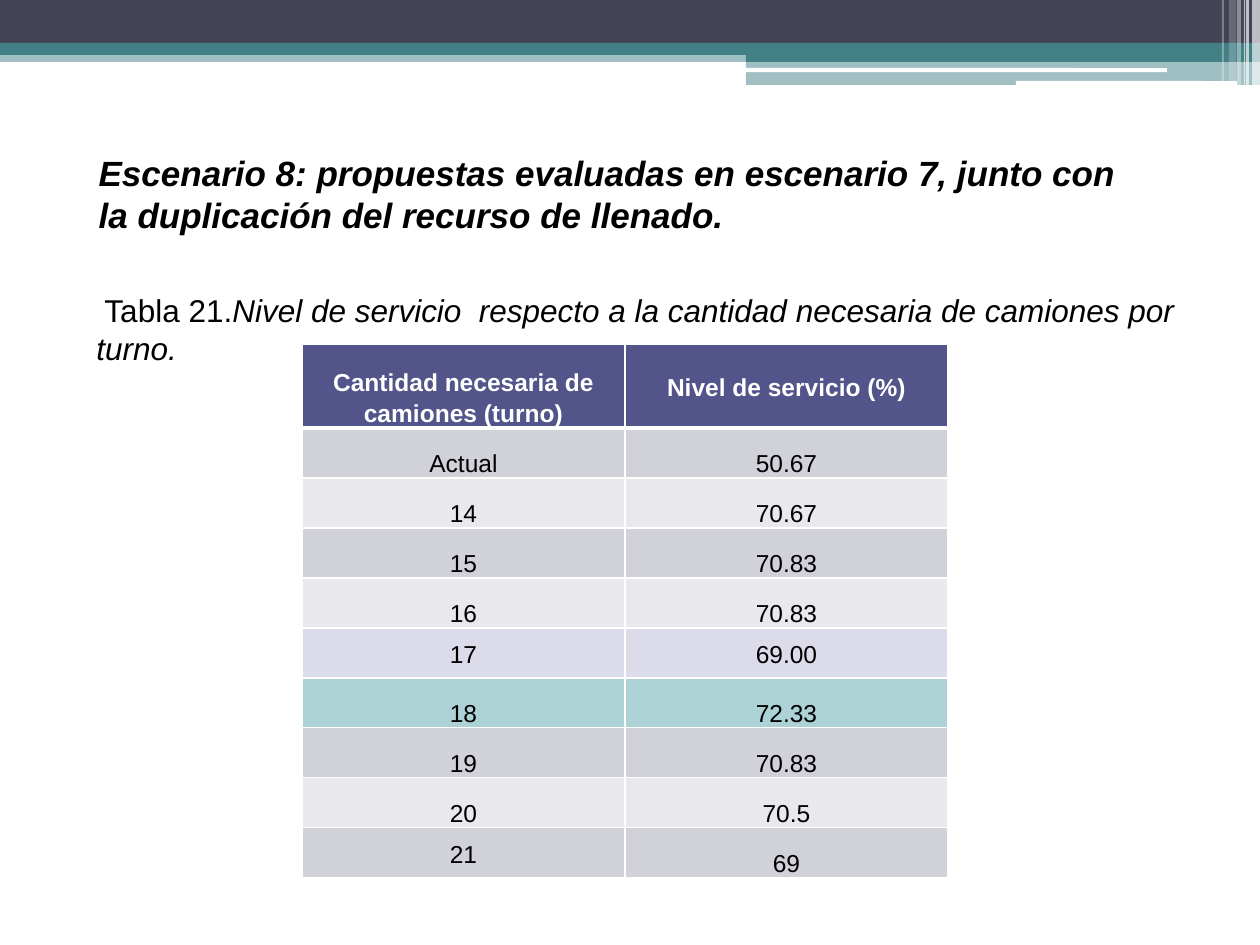
from lxml.etree import SubElement
from pptx import Presentation
from pptx.dml.color import RGBColor
from pptx.enum.shapes import MSO_SHAPE as Shape
from pptx.enum.text import MSO_ANCHOR as Anchor, MSO_AUTO_SIZE as AutoSize, PP_ALIGN as Align
from pptx.oxml import parse_xml
from pptx.oxml.ns import nsdecls, qn
from pptx.util import Emu, Pt

COLORS = {
    "black": "000000", "white": "FFFFFF", "slate": "424456", "teal": "438086",
    "header": "53548A", "dark": "D1D1DA", "light": "E9E9ED",
    "lilac": "DBDBE9", "best": "ADD2D6",
}
FONT = "Arial"
TITLE = ("Escenario 8: propuestas evaluadas en escenario 7, junto con "
         "la duplicación del recurso de llenado.")
CAPTION = (" Tabla 21.",
           "Nivel de servicio  respecto a la cantidad necesaria de camiones por turno.")
HEADINGS = ("Cantidad necesaria de camiones (turno)", "Nivel de servicio (%)")
LEVELS = (
    ("Actual", "50.67", "dark"), ("14", "70.67", "light"), ("15", "70.83", "dark"),
    ("16", "70.83", "light"), ("17", "69.00", "lilac"), ("18", "72.33", "best"),
    ("19", "70.83", "dark"), ("20", "70.5", "light"), ("21", "69", "dark"),
)
MIDDLE_CELLS = {(0, 1), (5, 0), (5, 1), (9, 0)}


def px(length):
    """Turn pixels into EMU."""
    return Emu(round(length * 914400 / 126))


def color(name):
    """Return a named colour."""
    return RGBColor.from_string(COLORS[name])


def style_font(font, size, name="black", bold=False, italic=False):
    """Set the typeface, size, colour and weight of a font."""
    font.name, font.size, font.bold, font.italic = FONT, Pt(size), bold, italic
    font.color.rgb = color(name)


def add_bar(page, box, name, opacity=100, kind=Shape.RECTANGLE):
    """Add a borderless bar, see-through if asked."""
    bar = page.shapes.add_shape(kind, *map(px, box))
    bar.shadow.inherit = False
    bar.fill.solid()
    bar.fill.fore_color.rgb = color(name)
    bar.line.fill.background()
    if opacity < 100:
        tint = bar._element.spPr.find(f".//{qn('a:srgbClr')}")
        SubElement(tint, qn("a:alpha"), val=str(opacity * 1000))


def add_banner(page, box):
    """Draw the layered banner with its rules and right-hand stripes."""
    left, top, width, height = box
    tab = left + 746
    tab_width = width - 746
    add_bar(page, (left, top + 50, width, 12), "teal", 50)
    add_bar(page, (left, top, width, 43), "slate")
    add_bar(page, (left, top + 43, width, 12), "teal")
    add_bar(page, (tab, top + 49, tab_width, 13), "teal")
    add_bar(page, (tab, top + 62, tab_width, height - 62), "teal", 50)
    for x, y, rule_width, rule_height in ((745, 68, 422, 4), (1016, 81, 221, 5)):
        add_bar(page, (left + x, top + y, rule_width, rule_height), "white",
                kind=Shape.ROUNDED_RECTANGLE)
    stripes = ((8, 8, 0, 65), (14, 3, 0, 65), (16, 1, 0, 60),
               (23, 4, 0, 40), (31, 7, 4, 20), (38, 2, 4, 30))
    for inset, stripe_width, cut, opacity in stripes:
        add_bar(page, (left + width - inset, top, stripe_width, height - cut),
                "white", opacity)


def add_title(page, box):
    """Place the scenario title."""
    title = page.shapes.title
    title.left, title.top, title.width, title.height = map(px, box)
    frame = title.text_frame
    frame.text = TITLE
    frame.word_wrap = True
    frame.auto_size = AutoSize.NONE
    frame.vertical_anchor = Anchor.TOP
    para = frame.paragraphs[0]
    para.alignment = Align.LEFT
    style_font(para.runs[0].font, 20, bold=True, italic=True)


def add_caption(page, box):
    """Add the table caption with its italic description."""
    frame = page.shapes.add_textbox(*map(px, box)).text_frame
    frame.word_wrap = True
    for text, italic in zip(CAPTION, (False, True)):
        span = frame.paragraphs[0].add_run()
        span.text = text
        style_font(span.font, 18, italic=italic)


def set_borders(cell, bottom, top):
    """Give a cell white borders, with widths in points."""
    properties = cell._tc.get_or_add_tcPr()
    sides = (("lnL", 1), ("lnR", 1), ("lnT", top), ("lnB", bottom))
    for place, (side, points) in enumerate(sides):
        properties.insert(place, parse_xml(
            f'<a:{side} {nsdecls("a")} w="{Pt(points)}"><a:solidFill>'
            f'<a:srgbClr val="{COLORS["white"]}"/></a:solidFill></a:{side}>'))


def fill_cell(cell, text, fill, anchor, is_header):
    """Write and format one table cell."""
    cell.text = text
    cell.fill.solid()
    cell.fill.fore_color.rgb = color(fill)
    cell.vertical_anchor = anchor
    cell.margin_left = cell.margin_right = px(9)
    cell.margin_top = cell.margin_bottom = 0
    para = cell.text_frame.paragraphs[0]
    para.alignment = Align.CENTER
    para.line_spacing = 1.15
    style_font(para.runs[0].font, 14, "white" if is_header else "black", is_header)


def add_service_table(page, box, header_height):
    """Add the table of service levels by number of trucks."""
    rows = [(*HEADINGS, "header"), *LEVELS]
    table = page.shapes.add_table(len(rows), 2, *map(px, box)).table
    table.first_row = table.horz_banding = False
    for column in table.columns:
        column.width = px(box[2] / 2)
    row_height = (box[3] - header_height) / len(LEVELS)
    for r, (*texts, fill) in enumerate(rows):
        table.rows[r].height = px(row_height if r else header_height)
        for c, text in enumerate(texts):
            cell = table.cell(r, c)
            anchor = Anchor.MIDDLE if (r, c) in MIDDLE_CELLS else Anchor.BOTTOM
            fill_cell(cell, text, fill, anchor, r == 0)
            set_borders(cell, bottom=1 if r else 3, top=3 if r == 1 else 1)


def main():
    """Build and save the slide."""
    deck = Presentation()
    deck.slide_width, deck.slide_height = px(1260), px(945)
    page = deck.slides.add_slide(deck.slide_layouts[5])
    add_banner(page, (0, 0, 1260, 85))
    add_title(page, (86, 145, 1062, 140))
    add_service_table(page, (302, 344, 646, 534), 84)
    add_caption(page, (84, 285, 1111, 89))
    deck.save("out.pptx")


if __name__ == "__main__":
    main()
